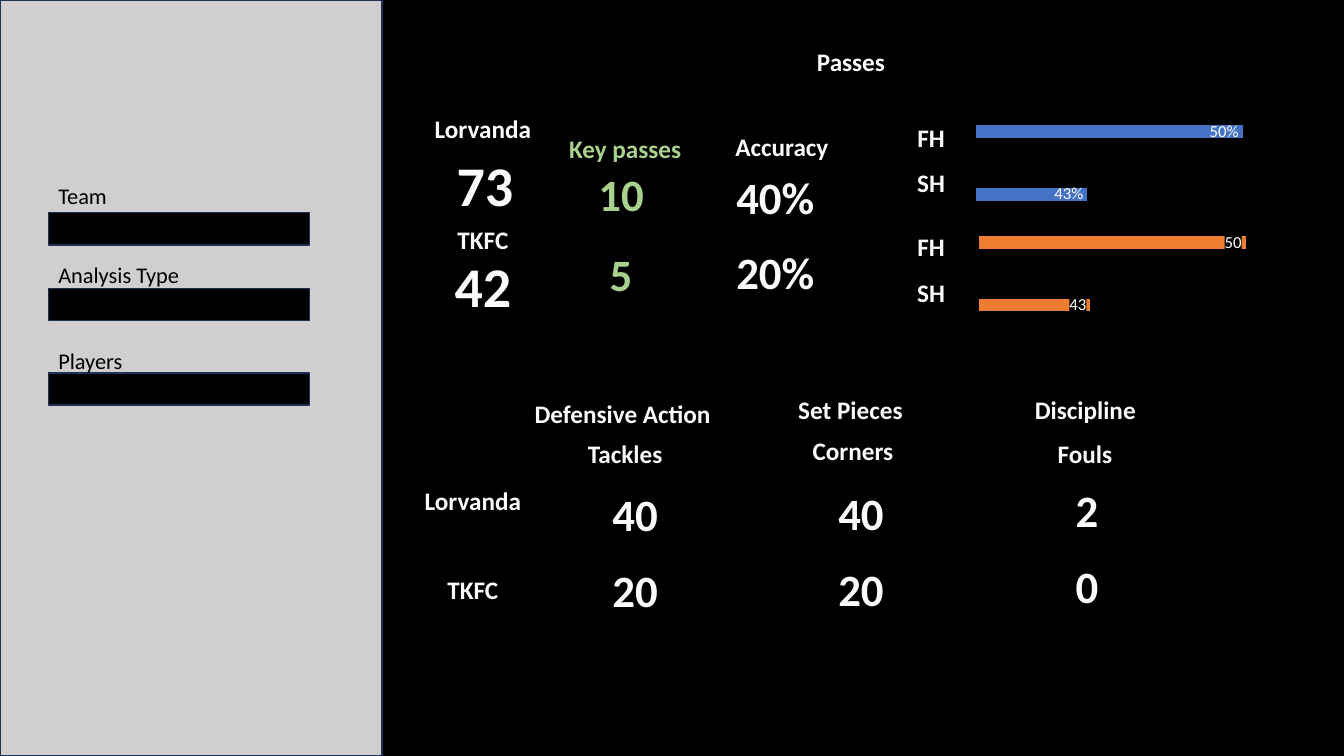
import pptx
import pptx.chart.data
import pptx.dml.color
import pptx.enum.chart
import pptx.enum.shapes
import pptx.enum.text
import pptx.oxml
import pptx.oxml.ns
import pptx.util

COLOURS = {
    "black": "000000",
    "panel": "D0CECE",
    "outline": "1E3256",
    "light": "FAFAFA",
    "white": "FFFFFF",
    "green": "A9D18E",
    "blue": "4472C4",
    "orange": "ED7D31",
}
FONT = "Calibri"
EMU_PER_PX = 9144  # 100 px to the inch
TEXT_HEIGHTS = {16: 37, 18: 40, 32: 64, 40: 77}
HOME, AWAY = "Lorvanda", "TKFC"


def px(length):
    return pptx.util.Emu(length * EMU_PER_PX)


def rgb(name):
    return pptx.dml.color.RGBColor.from_string(COLOURS[name])


def style_font(font, size, colour, bold=False):
    font.name = FONT
    font.size = pptx.util.Pt(size)
    font.bold = bold
    font.color.rgb = rgb(colour)


class Dashboard:
    """Draws styled elements on one slide."""

    def __init__(self, slide):
        self.slide = slide
        slide.background.fill.solid()
        slide.background.fill.fore_color.rgb = rgb("black")

    def box(self, left, top, width, height, fill):
        shape = self.slide.shapes.add_shape(
            pptx.enum.shapes.MSO_SHAPE.RECTANGLE,
            px(left), px(top), px(width), px(height))
        shape.shadow.inherit = False
        shape.fill.solid()
        shape.fill.fore_color.rgb = rgb(fill)
        shape.line.color.rgb = rgb("outline")
        shape.line.width = pptx.util.Pt(1)

    def fill_text(self, shape, text, size, colour, bold, align):
        frame = shape.text_frame
        frame.text = text
        frame.word_wrap = True
        frame.auto_size = pptx.enum.text.MSO_AUTO_SIZE.NONE
        frame.vertical_anchor = pptx.enum.text.MSO_ANCHOR.TOP
        paragraph = frame.paragraphs[0]
        paragraph.alignment = align
        style_font(paragraph.font, size, colour, bold)

    def title(self, text, left, top, width):
        shape = self.slide.shapes.title
        shape.left, shape.top = px(left), px(top)
        shape.width, shape.height = px(width), px(TEXT_HEIGHTS[18])
        self.fill_text(shape, text, 18, "light", True,
                       pptx.enum.text.PP_ALIGN.CENTER)

    def text(self, text, left, top, width, size=18, colour="light",
             bold=True, align=pptx.enum.text.PP_ALIGN.CENTER):
        shape = self.slide.shapes.add_textbox(
            px(left), px(top), px(width), px(TEXT_HEIGHTS[size]))
        self.fill_text(shape, text, size, colour, bold, align)

    def field(self, label, label_top, box_top, width):
        self.box(48, box_top, 259, 32, "black")
        self.text(label, 48, label_top, width, 16, "black", False,
                  pptx.enum.text.PP_ALIGN.LEFT)

    def half_chart(self, left, top, colour, boxed_labels=()):
        """Bars for the two halves; boxed_labels replace the values shown."""
        data = pptx.chart.data.CategoryChartData(number_format="0%")
        data.categories = ["1", "2", "", ""]
        data.add_series("Series 1", [0.43, 0.5, None, None])
        for name in ("Series 2", "Series 3"):
            data.add_series(name, [None] * 4)
        chart = self.slide.shapes.add_chart(
            pptx.enum.chart.XL_CHART_TYPE.BAR_CLUSTERED,
            px(left), px(top), px(321), px(259), data).chart
        style_font(chart.font, 10, "black")
        chart.has_legend = False
        chart.has_title = False
        for axis in (chart.category_axis, chart.value_axis):
            axis.visible = False
            axis.has_major_gridlines = False
        chart.value_axis.minimum_scale = 0.38
        chart.value_axis.maximum_scale = 0.52

        plot = chart.plots[0]
        plot.gap_width = 182
        plot.overlap = 0
        plot.vary_by_categories = False
        inside_end = pptx.enum.chart.XL_LABEL_POSITION.INSIDE_END
        for series in plot.series:
            series.format.fill.solid()
            series.format.fill.fore_color.rgb = rgb(colour)
            labels = series.data_labels
            labels.show_value = True
            labels.position = inside_end
            labels.number_format = "0%"
            labels.number_format_is_linked = False
            style_font(labels.font, 12, "white")

        for index, text in enumerate(boxed_labels):
            label = plot.series[0].points[index].data_label
            run = label.text_frame.paragraphs[0].add_run()
            run.text = text
            style_font(run.font, 12, "white")
            label.position = inside_end
            rich_text = label.text_frame._txBody.getparent()
            rich_text.addnext(pptx.oxml.parse_xml(
                f'<c:spPr {pptx.oxml.ns.nsdecls("c", "a")}><a:solidFill>'
                f'<a:srgbClr val="{COLOURS["black"]}"/>'
                '</a:solidFill></c:spPr>'))


def draw_filters(dashboard):
    dashboard.box(0, 0, 379, 750, "panel")
    for label, label_top, box_top, width in (
            ("Team", 176, 211, 90),
            ("Analysis Type", 254, 286, 283),
            ("Players", 339, 370, 90)):
        dashboard.field(label, label_top, box_top, width)


def draw_passes(dashboard):
    dashboard.title("Passes", 603, 41, 482)
    for team, team_top, total, total_left, total_top in (
            (HOME, 108, "73", 420, 144),
            (AWAY, 218, "42", 418, 245)):
        dashboard.text(team, 238, team_top, 482)
        dashboard.text(total, total_left, total_top, 122, 40)

    for heading, heading_box, left, values, colour in (
            ("Key passes", (379, 127, 482), 555,
             (("10", 161), ("5", 240)), "green"),
            ("Accuracy", (683, 125, 185), 708,
             (("40%", 163), ("20%", 238)), "light")):
        dashboard.text(heading, *heading_box, colour=colour)
        for value, top in values:
            dashboard.text(value, left, top, 122, 32, colour)

    dashboard.half_chart(965, 67, "orange", ("43", "50"))
    for first_half_top in (116, 225):
        dashboard.text("FH", 876, first_half_top, 95)
        dashboard.text("SH", 876, first_half_top + 45, 95)
    dashboard.half_chart(962, -43, "blue")


def draw_other_actions(dashboard):
    dashboard.text(HOME, 398, 477, 142)
    dashboard.text(AWAY, 398, 565, 142)
    for heading, heading_box, measure, measure_left, measure_top, \
            value_left, value_top, values in (
                ("Defensive Action", (515, 390, 205), "Tackles", 549, 430,
                 569, 478, ("40", "20")),
                ("Set Pieces", (747, 386, 193), "Corners", 775, 427,
                 793, 477, ("40", "20")),
                ("Discipline", (980, 386, 193), "Fouls", 1005, 430,
                 1017, 474, ("2", "0"))):
        dashboard.text(heading, *heading_box)
        dashboard.text(measure, measure_left, measure_top, 142)
        for row, value in enumerate(values):
            dashboard.text(value, value_left, value_top + 75 * row, 122, 32)


def main():
    presentation = pptx.Presentation()
    presentation.slide_width = px(1333)
    presentation.slide_height = px(750)
    title_only = presentation.slide_layouts[5]
    dashboard = Dashboard(presentation.slides.add_slide(title_only))
    draw_filters(dashboard)
    draw_passes(dashboard)
    draw_other_actions(dashboard)
    presentation.save("out.pptx")


if __name__ == "__main__":
    main()
